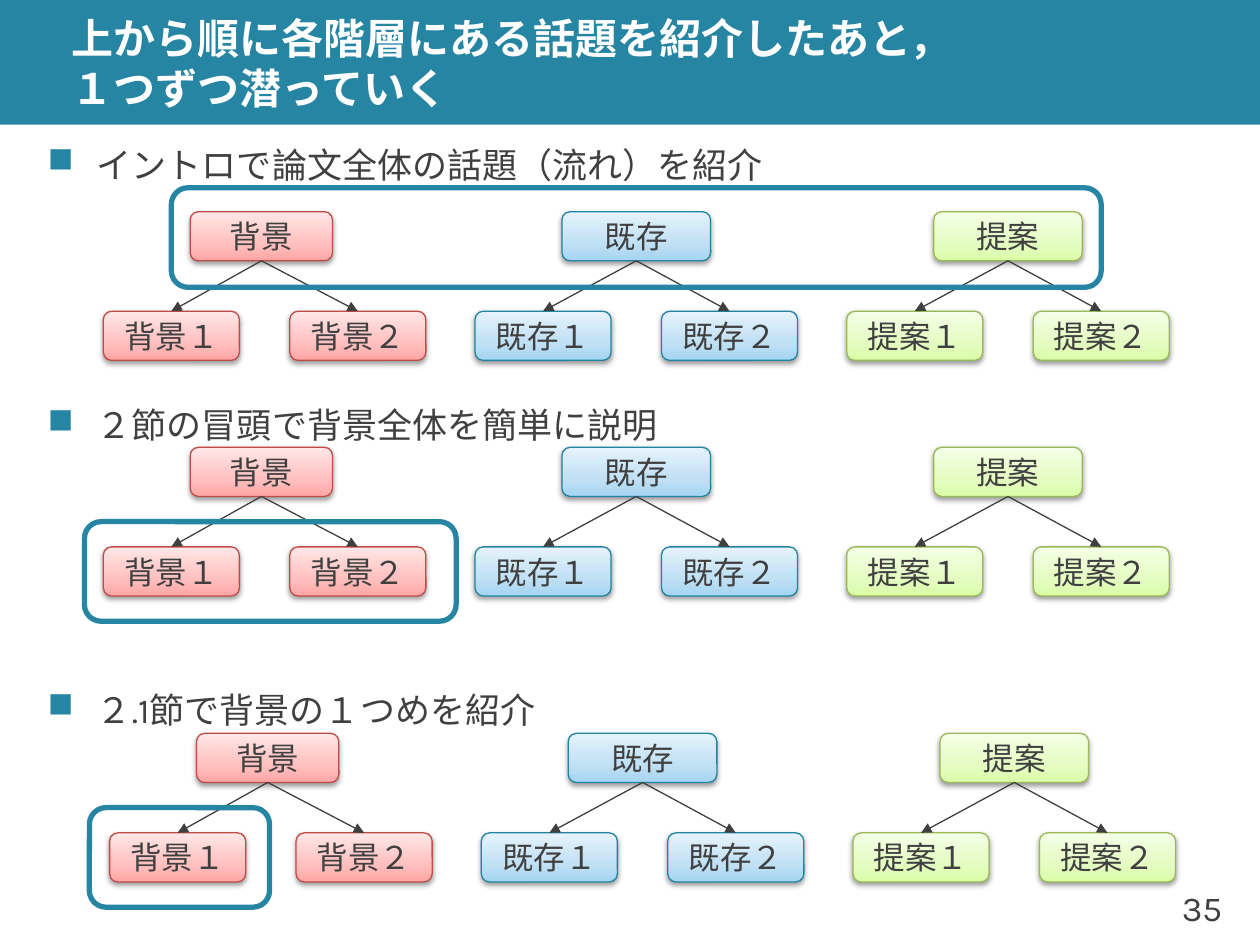
from copy import deepcopy

from lxml.etree import SubElement
from pptx import Presentation
from pptx.dml.color import RGBColor
from pptx.enum.shapes import MSO_CONNECTOR, MSO_SHAPE
from pptx.enum.text import MSO_ANCHOR, PP_ALIGN
from pptx.oxml.ns import qn
from pptx.util import Inches, Pt

TEAL = RGBColor(0x25, 0x85, 0xA3)
DARK = RGBColor(0x40, 0x40, 0x40)
WHITE = RGBColor(0xFF, 0xFF, 0xFF)

# Topic: name, parent width, outline, gradient from bottom to top
TOPICS = [
    ("背景", 1.13, RGBColor(0xBF, 0x4C, 0x48),
     (RGBColor(0xFF, 0xA6, 0xA5), RGBColor(0xFF, 0xC0, 0xBF), RGBColor(0xFF, 0xE7, 0xE7))),
    ("既存", 1.18, RGBColor(0x21, 0x84, 0xA2),
     (RGBColor(0xA4, 0xD5, 0xF1), RGBColor(0xC0, 0xE0, 0xF4), RGBColor(0xE6, 0xF3, 0xFC))),
    ("提案", 1.18, RGBColor(0x98, 0xB9, 0x55),
     (RGBColor(0xDA, 0xFD, 0xA7), RGBColor(0xE4, 0xFC, 0xC2), RGBColor(0xF5, 0xFF, 0xE7))),
]
GRADIENT_POSITIONS = (0, 0.35, 1)

# Step: heading, heading top, forest left and top, highlight left, top, width
STEPS = [
    ("イントロで論文全体の話題（流れ）を紹介", 0.99, 0.82, 1.68, (1.36, 1.49, 7.38)),
    ("２節の冒頭で背景全体を簡単に説明", 3.06, 0.82, 3.55, (0.67, 4.14, 2.95)),
    ("２.1節で背景の１つめを紹介", 5.32, 0.87, 5.82, (0.71, 6.41, 1.43)),
]

BODY_FONT = "Karla"
BOX_FONT = "Noto Sans CJK JP"
BOX_HEIGHT = 0.39
CHILD_WIDTH = 1.08
CHILD_PITCH = 1.48
TREE_PITCH = 2.95
PARENT_INDENT = 0.69
LEVEL_DROP = 0.79
HIGHLIGHT_HEIGHT = 0.79


def add_run(paragraph, text, size, font_name, color, bold=False):
    """Add a run whose Latin and East Asian fonts are the same."""
    run = paragraph.add_run()
    run.text = text
    run.font.size = Pt(size)
    run.font.name = font_name
    run.font.bold = bold
    run.font.color.rgb = color
    SubElement(run.font._element, qn("a:ea"), typeface=font_name)


def add_text_frame(slide, left, top, width, height, wrap=True):
    box = slide.shapes.add_textbox(Inches(left), Inches(top), Inches(width), Inches(height))
    frame = box.text_frame
    frame.word_wrap = wrap
    frame.vertical_anchor = MSO_ANCHOR.MIDDLE
    return frame


def add_title(slide, lines):
    bar = slide.shapes.add_shape(MSO_SHAPE.RECTANGLE, 0, 0, Inches(10), Inches(0.99))
    bar.shadow.inherit = False
    bar.fill.solid()
    bar.fill.fore_color.rgb = TEAL
    bar.line.fill.background()
    frame = add_text_frame(slide, 0.47, 0, 9.53, 0.99)
    frame.margin_top = frame.margin_bottom = 0
    paragraph = frame.paragraphs[0]
    for index, line in enumerate(lines):
        if index:
            paragraph.add_line_break()
        add_run(paragraph, line, 24, BODY_FONT, WHITE, bold=True)


def add_page_number(slide, number):
    paragraph = add_text_frame(slide, 9.13, 6.9, 0.67, 0.6, wrap=False).paragraphs[0]
    paragraph.alignment = PP_ALIGN.RIGHT
    add_run(paragraph, number, 20, BODY_FONT, DARK)


def add_heading(slide, text, top):
    paragraph = add_text_frame(slide, 0.28, top, 9.06, 0.59).paragraphs[0]
    paragraph.line_spacing = 1.1
    paragraph.space_before = Pt(24)
    paragraph.space_after = Pt(6)
    properties = paragraph._p.get_or_add_pPr()
    properties.set("marL", str(Inches(0.39)))
    properties.set("indent", str(Inches(-0.39)))
    bullet_color = SubElement(properties, qn("a:buClr"))
    SubElement(bullet_color, qn("a:srgbClr"), val=str(TEAL))
    SubElement(properties, qn("a:buChar"), char="■")
    add_run(paragraph, text, 20, BODY_FONT, DARK)


def fill_gradient(shape, colors):
    shape.fill.gradient()
    shape.fill.gradient_angle = 90
    stop_list = shape._element.spPr.find(qn("a:gradFill")).find(qn("a:gsLst"))
    stop_list.append(deepcopy(stop_list[-1]))
    for stop, position, color in zip(shape.fill.gradient_stops, GRADIENT_POSITIONS, colors):
        stop.position = position
        stop.color.rgb = color


def add_drop_shadow(shape):
    shape.shadow.inherit = False
    effects = shape._element.spPr.find(qn("a:effectLst"))
    shadow = SubElement(effects, qn("a:outerShdw"), blurRad=str(Pt(3.1)),
                        dist=str(Pt(1.6)), dir="5400000", rotWithShape="0")
    color = SubElement(shadow, qn("a:srgbClr"), val="000000")
    SubElement(color, qn("a:alpha"), val="38000")


def add_topic_box(slide, text, left, top, width, outline, gradient):
    box = slide.shapes.add_shape(MSO_SHAPE.ROUNDED_RECTANGLE, Inches(left), Inches(top),
                                 Inches(width), Inches(BOX_HEIGHT))
    fill_gradient(box, gradient)
    box.line.color.rgb = outline
    box.line.width = Pt(0.75)
    add_drop_shadow(box)
    frame = box.text_frame
    frame.word_wrap = False
    frame.vertical_anchor = MSO_ANCHOR.MIDDLE
    paragraph = frame.paragraphs[0]
    paragraph.alignment = PP_ALIGN.CENTER
    add_run(paragraph, text, 18, BOX_FONT, DARK)
    return box


def add_branch(slide, parent, child):
    branch = slide.shapes.add_connector(MSO_CONNECTOR.STRAIGHT, 0, 0, 0, 0)
    branch.begin_connect(parent, 2)
    branch.end_connect(child, 0)
    branch.line.color.rgb = DARK
    branch.line.width = Pt(0.75)
    SubElement(branch.line._get_or_add_ln(), qn("a:tailEnd"), type="triangle")
    SubElement(branch._element.spPr, qn("a:effectLst"))


def add_tree(slide, topic, left, top):
    """Draw a topic above its two subtopics."""
    name, parent_width, outline, gradient = topic
    parent = add_topic_box(slide, name, left + PARENT_INDENT, top, parent_width,
                           outline, gradient)
    for index, digit in enumerate("１２"):
        child = add_topic_box(slide, name + digit, left + index * CHILD_PITCH,
                              top + LEVEL_DROP, CHILD_WIDTH, outline, gradient)
        add_branch(slide, parent, child)


def add_highlight(slide, left, top, width):
    ring = slide.shapes.add_shape(MSO_SHAPE.ROUNDED_RECTANGLE, Inches(left), Inches(top),
                                  Inches(width), Inches(HIGHLIGHT_HEIGHT))
    ring.shadow.inherit = False
    ring.fill.background()
    ring.line.color.rgb = TEAL
    ring.line.width = Pt(3)


def main():
    presentation = Presentation()
    presentation.slide_width = Inches(10)
    presentation.slide_height = Inches(7.5)
    slide = presentation.slides.add_slide(presentation.slide_layouts[6])
    add_title(slide, ["上から順に各階層にある話題を紹介したあと，", "１つずつ潜っていく"])
    add_page_number(slide, "35")
    for heading, heading_top, left, top, highlight in STEPS:
        for index, topic in enumerate(TOPICS):
            add_tree(slide, topic, left + index * TREE_PITCH, top)
        add_highlight(slide, *highlight)
        add_heading(slide, heading, heading_top)
    presentation.save("out.pptx")


if __name__ == "__main__":
    main()
